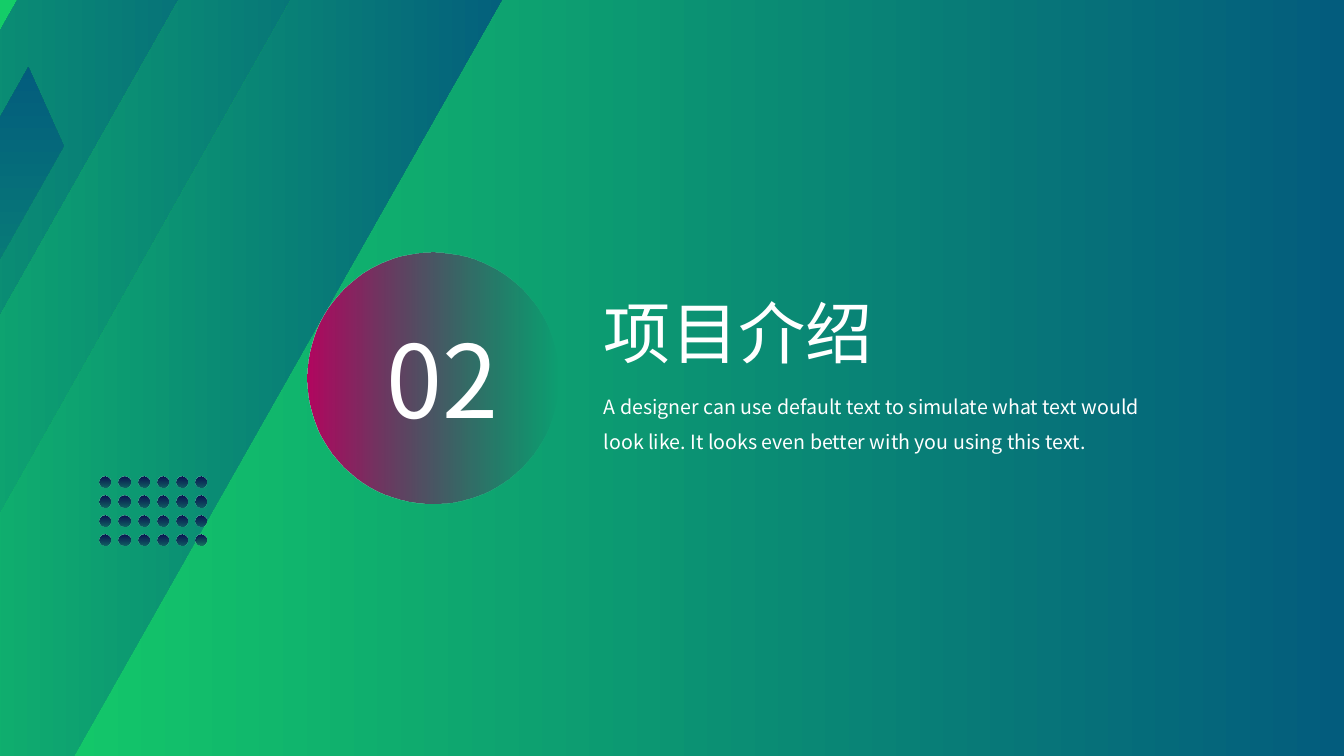
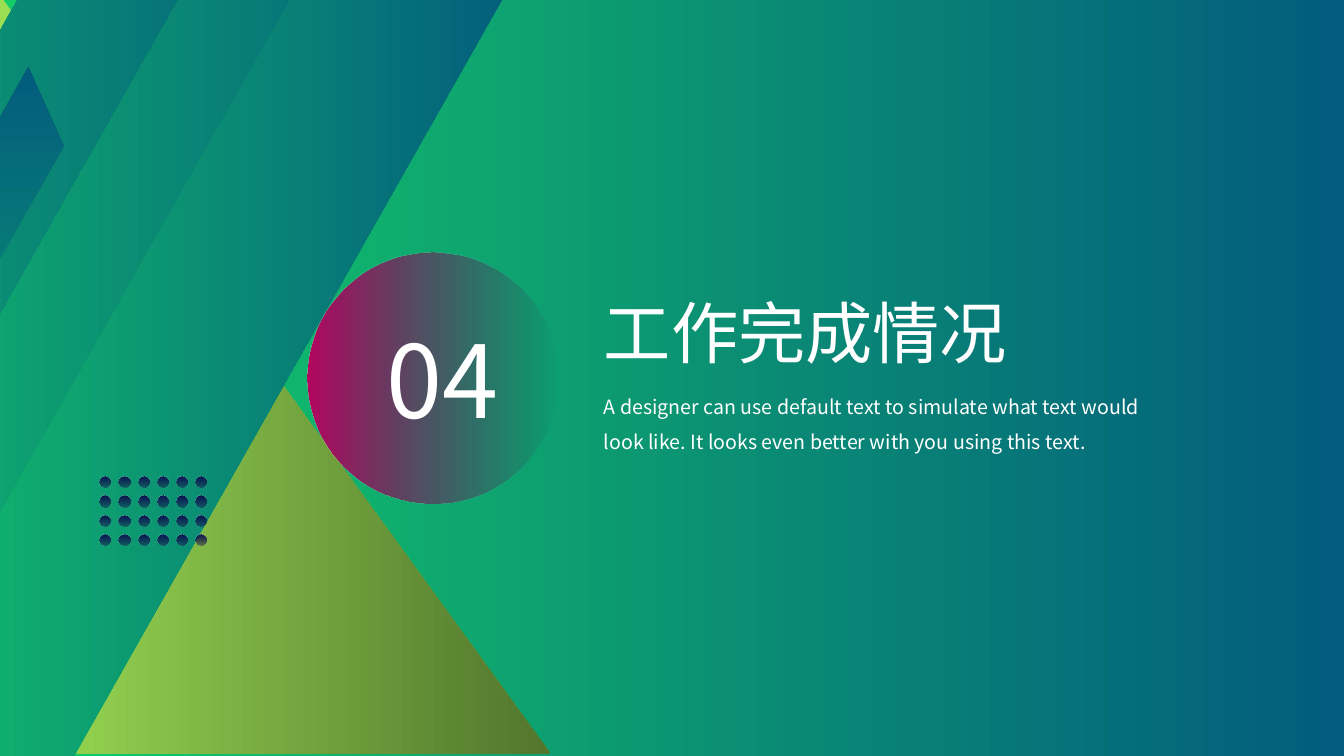
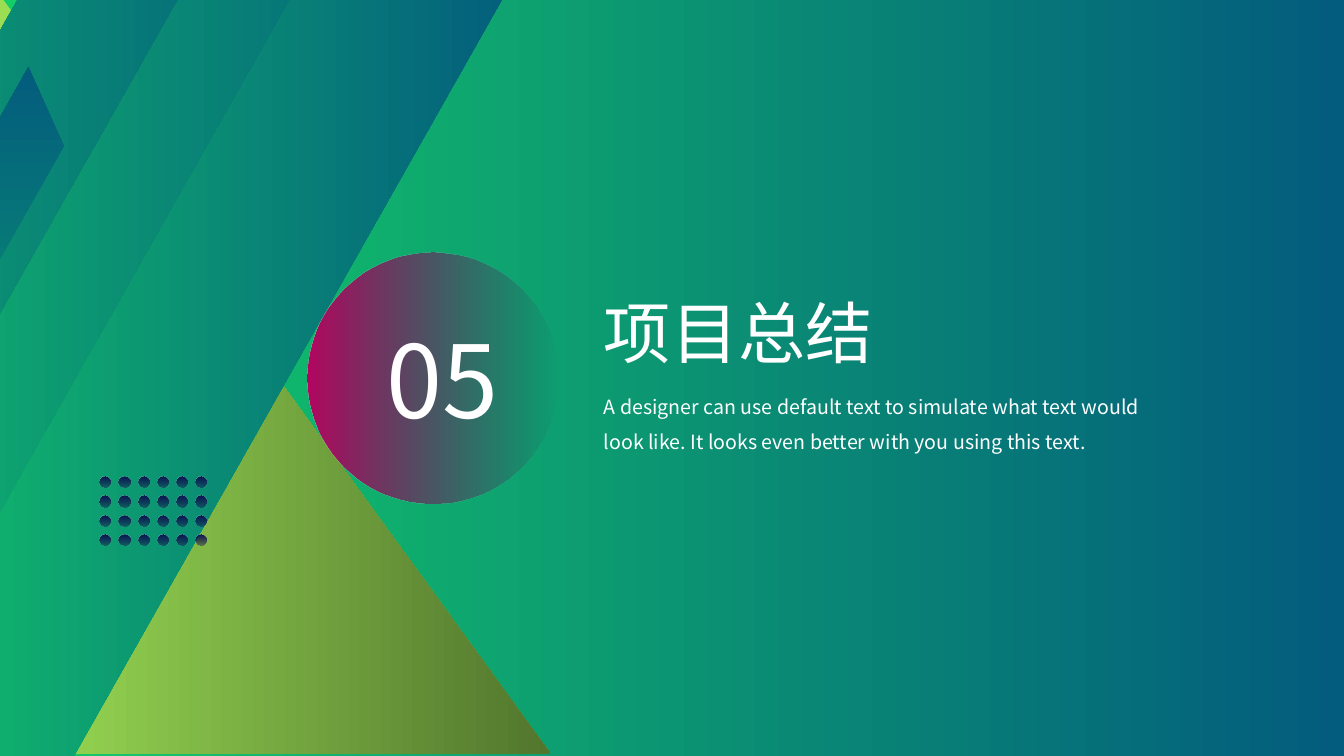
from lxml.etree import SubElement
from pptx import Presentation
from pptx.dml.color import RGBColor
from pptx.enum.shapes import MSO_SHAPE
from pptx.enum.text import MSO_ANCHOR, MSO_AUTO_SIZE, PP_ALIGN
from pptx.oxml.ns import qn
from pptx.util import Inches, Pt

FONT = "Noto Sans CJK SC"
WHITE = "FFFFFF"
GREEN_BLUE = [("14CD68", 100), ("035C7D", 100)]
OLIVE = [("9EE256", 100), ("52762D", 100)]
NAVY = [("120249", 36), ("0B1051", 100)]
MAGENTA_FADE = [("B30660", 100), ("570152", 0)]
SLIDE_BOX = (0, 0, 13.33, 7.5)
TRIANGLE_BOX = (-0.23, -0.36, 5.69, 7.84)
DOTS_BOX = (0.99, 4.73, 1.06, 0.68)
BADGE_BOX = (3.05, 2.51, 2.49, 2.49)
HEADING_BOX = (5.89, 2.84, 5.93, 1.68)
BANDS = [
    (-1.67, -1.9, 2.45, 10.96),
    (-0.32, -1.46, 2.45, 10.96),
    (0.7, -1.69, 1.82, 11.58),
]
SUMMARY = (
    "A designer can use default text to simulate what text would look like. "
    "It looks even better with you using this text."
)
SECTIONS = [
    ("02", "项目介绍", False),
    ("04", "工作完成情况", True),
    ("05", "项目总结", True),
]


def color(value):
    """Return the colour for a hex string."""
    return RGBColor.from_string(value)


def paint(fill, owner, stops, angle=0):
    """Give a fill a two-stop gradient that stays level with the page."""
    fill.gradient()
    fill.gradient_angle = (360 - angle) % 360
    for stop, (value, _) in zip(fill.gradient_stops, stops):
        stop.color.rgb = color(value)
    gradient = next(owner.iter(qn("a:gradFill")))
    gradient.set("rotWithShape", "0")
    for tint, (_, opacity) in zip(gradient.iter(qn("a:srgbClr")), stops):
        if opacity < 100:
            SubElement(tint, qn("a:alpha")).set("val", str(opacity * 1000))


def add_figure(shapes, kind, box, stops, angle=0, rotation=0):
    """Add a preset shape with a gradient and no outline."""
    figure = shapes.add_shape(kind, *(Inches(length) for length in box))
    figure.shadow.inherit = False
    figure.line.fill.background()
    figure.rotation = rotation
    paint(figure.fill, figure._element.spPr, stops, angle)
    return figure


def write(holder, box, text, size, align=PP_ALIGN.LEFT, spacing=1.0):
    """Place a text holder and set its single white paragraph."""
    holder.left, holder.top, holder.width, holder.height = (
        Inches(length) for length in box
    )
    frame = holder.text_frame
    frame.text = text
    frame.word_wrap = True
    frame.auto_size = MSO_AUTO_SIZE.NONE
    frame.vertical_anchor = MSO_ANCHOR.TOP
    para = frame.paragraphs[0]
    para.alignment = align
    para.line_spacing = spacing
    para.font.size = Pt(size)
    para.font.name = FONT
    para.font.color.rgb = color(WHITE)
    for span in para.runs:
        properties = span.font._element if hasattr(span.font, "_element") else span._r.get_or_add_rPr()
        SubElement(properties, qn("a:ea")).set("typeface", FONT)


def add_text(shapes, box, *style):
    """Add a text box in the shared text style."""
    holder = shapes.add_textbox(*(Inches(length) for length in box))
    write(holder, box, *style)


def add_bands(page, box):
    """Add the slanted bands and the narrow blade at the left."""
    left, top = box[:2]
    for x, y, width, height in BANDS:
        band = (left + x, top + y, width, height)
        add_figure(page.shapes, MSO_SHAPE.RECTANGLE, band, GREEN_BLUE, rotation=29.5)
    blade = add_figure(
        page.shapes,
        MSO_SHAPE.PARALLELOGRAM,
        (left - 4.97, top + 3.73, 7.44, 0.69),
        GREEN_BLUE,
        angle=270,
        rotation=299.5,
    )
    blade.adjustments[0] = 0.734


def add_dots(page, box, columns=6, rows=4, size=0.11):
    """Spread a grid of dots evenly over a box."""
    left, top, width, height = box
    across = (width - size) / (columns - 1)
    down = (height - size) / (rows - 1)
    group = page.shapes.add_group_shape()
    for row in range(rows):
        for column in range(columns):
            dot = (left + column * across, top + row * down, size, size)
            add_figure(group.shapes, MSO_SHAPE.OVAL, dot, NAVY, angle=270)


def add_badge(page, box, number):
    """Add the round badge with the section number."""
    left, top = box[:2]
    group = page.shapes.add_group_shape()
    add_figure(group.shapes, MSO_SHAPE.OVAL, box, MAGENTA_FADE)
    add_text(group.shapes, (left + 0.47, top + 0.59, 1.74, 1.31), number, 72, PP_ALIGN.CENTER)


def add_heading(page, box, title):
    """Place the section title and the summary under it."""
    left, top, width, height = box
    title_height = 0.91
    write(page.shapes.title, (left, top, 4.36, title_height), title, 48)
    summary = (left, top + title_height, width, height - title_height)
    add_text(page.shapes, summary, SUMMARY, 14, PP_ALIGN.LEFT, 1.5)


def add_section(deck, number, title, has_triangle):
    """Build one section slide."""
    page = deck.slides.add_slide(deck.slide_layouts[5])
    if has_triangle:
        add_figure(page.shapes, MSO_SHAPE.RIGHT_TRIANGLE, TRIANGLE_BOX, OLIVE)
    add_bands(page, SLIDE_BOX)
    add_dots(page, DOTS_BOX)
    add_badge(page, BADGE_BOX, number)
    add_heading(page, HEADING_BOX, title)


def main():
    """Build and save the deck."""
    deck = Presentation()
    deck.slide_width, deck.slide_height = (Inches(length) for length in SLIDE_BOX[2:])
    master = deck.slide_master
    paint(master.background.fill, master._element, GREEN_BLUE)
    for section in SECTIONS:
        add_section(deck, *section)
    deck.save("out.pptx")


if __name__ == "__main__":
    main()
